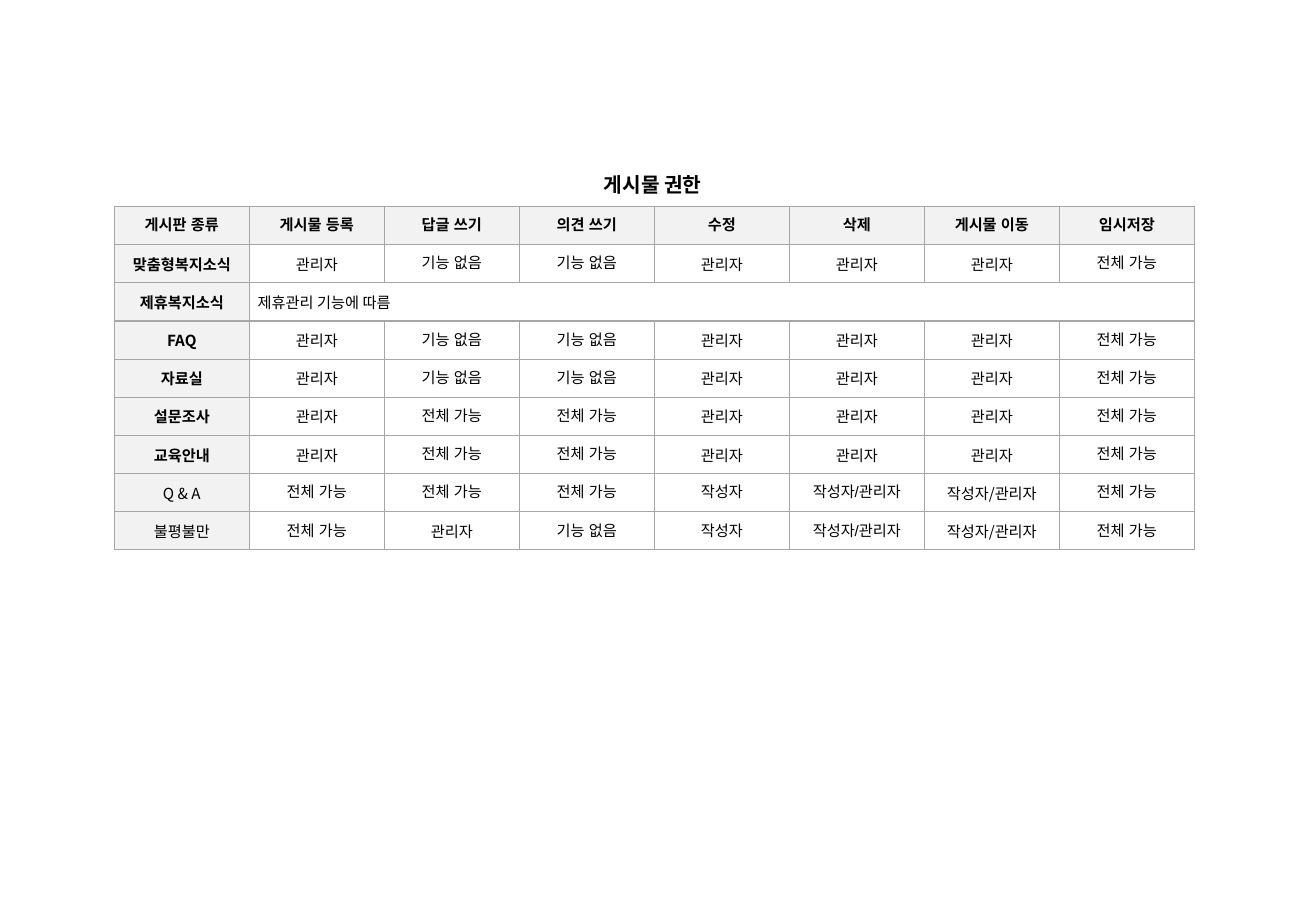
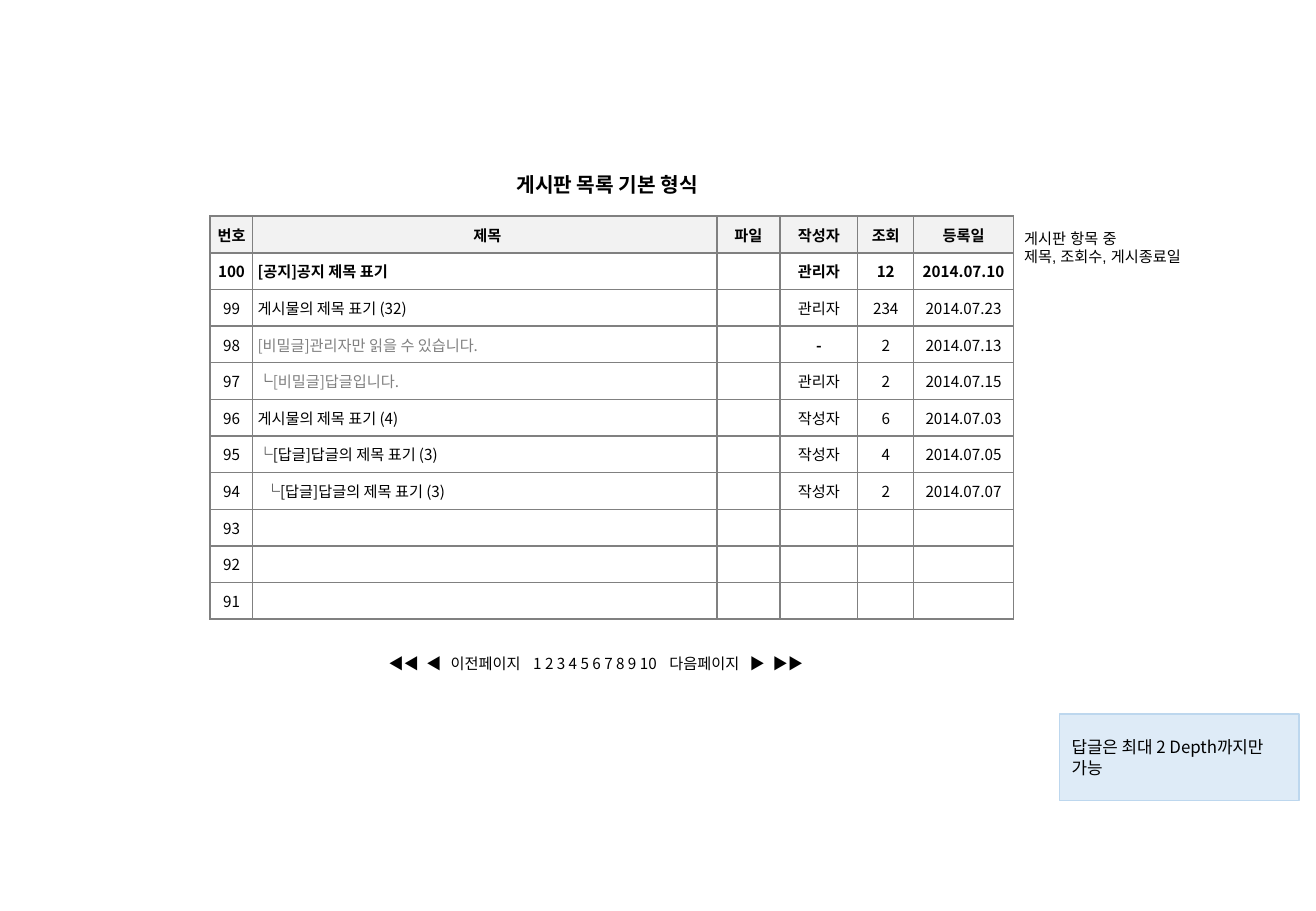
from lxml.etree import SubElement
from pptx import Presentation
from pptx.dml.color import RGBColor
from pptx.enum.shapes import MSO_SHAPE
from pptx.enum.text import MSO_ANCHOR, MSO_AUTO_SIZE, PP_ALIGN
from pptx.oxml.ns import qn
from pptx.util import Inches, Pt

SANS, KOREAN = "Arial", "Noto Sans CJK KR"
BLACK, GREY, PALE, WHITE = "000000", "808080", "F2F2F2", "FFFFFF"
LEFT, CENTER = PP_ALIGN.LEFT, PP_ALIGN.CENTER


def color(code):
    return RGBColor.from_string(code)


class Deck:
    """Shared style and the slide being built."""

    def __init__(self):
        self.file = Presentation()
        self.file.slide_width, self.file.slide_height = Inches(10.83), Inches(7.5)
        self.slide = None

    def style(self, para, size=9, face=KOREAN, bold=False, align=LEFT, space=1.0):
        para.alignment, para.line_spacing = align, space
        font = para.font
        font.size, font.name, font.bold = Pt(size), face, bold
        font.color.rgb = color(BLACK)
        props = para._p.pPr.find(qn("a:defRPr"))
        SubElement(props, qn("a:ea"), typeface=face)

    def put(self, frame, lines, **look):
        frame.word_wrap, frame.auto_size = True, MSO_AUTO_SIZE.NONE
        frame.text = "\n".join(lines)
        for para in frame.paragraphs:
            self.style(para, **look)

    def page(self, title, left, width):
        self.slide = self.file.slides.add_slide(self.file.slide_layouts[5])
        head = self.slide.shapes.title
        head.left, head.top = Inches(left), Inches(1.31)
        head.width, head.height = Inches(width), Inches(0.36)
        head.text_frame.vertical_anchor = MSO_ANCHOR.TOP
        self.put(head.text_frame, [title], size=12, bold=True, space=1.3)

    def text(self, box, lines, **look):
        shape = self.slide.shapes.add_textbox(*map(Inches, box))
        self.put(shape.text_frame, lines, **look)
        return shape.text_frame.paragraphs

    def note(self, box, line):
        shape = self.slide.shapes.add_shape(MSO_SHAPE.RECTANGLE, *map(Inches, box))
        shape.shadow.inherit = False
        shape.fill.solid()
        shape.fill.fore_color.rgb = color("DEEBF7")
        shape.line.color.rgb, shape.line.width = color("BDD7EE"), Pt(1)
        shape.text_frame.vertical_anchor = MSO_ANCHOR.MIDDLE
        self.put(shape.text_frame, [line], size=10)

    def table(self, left, top, widths, height, count):
        frame = self.slide.shapes.add_table(
            count, len(widths), Inches(left), Inches(top),
            Inches(sum(widths)), Inches(height))
        grid = frame.table
        grid.first_row = grid.horz_banding = False
        for col, width in zip(grid.columns, widths):
            col.width = Inches(width)
        for row in grid.rows:
            row.height = Inches(height / count)
        return grid

    def cell(self, cell, text, edge, fill=WHITE, pad=0.0, **look):
        """Text may be a pair: a black part and a grey part."""
        cell.margin_left = Inches(pad)
        cell.margin_right = cell.margin_top = cell.margin_bottom = 0
        cell.vertical_anchor = MSO_ANCHOR.MIDDLE
        para = cell.text_frame.paragraphs[0]
        parts = text if isinstance(text, tuple) else (text, "")
        for part, tint in zip(parts, (None, GREY)):
            if part:
                run = para.add_run()
                run.text = part
                if tint:
                    run.font.color.rgb = color(tint)
        self.style(para, **look)
        if not para.runs:
            SubElement(para._p, qn("a:endParaRPr"), sz="900")
        # Borders come before the fill
        code, width = edge
        props = cell._tc.get_or_add_tcPr()
        for side in ("lnL", "lnR", "lnT", "lnB"):
            line = SubElement(props, qn("a:" + side), w=str(Pt(width)))
            SubElement(SubElement(line, qn("a:solidFill")), qn("a:srgbClr"), val=code)
        cell.fill.solid()
        cell.fill.fore_color.rgb = color(fill)


def rights(deck):
    """Who may do what on each board."""
    deck.page("게시물 권한", 4.87, 1.1)
    boss, none, every = "관리자", "기능 없음", "전체 가능"
    own, both = "작성자", "작성자/관리자"
    fixed = [boss, none, none, boss, boss, boss, every]
    shared = [boss, every, every, boss, boss, boss, every]
    rows = [
        ["게시판 종류", "게시물 등록", "답글 쓰기", "의견 쓰기",
         "수정", "삭제", "게시물 이동", "임시저장"],
        ["맞춤형복지소식", *fixed],
        ["제휴복지소식", "제휴관리 기능에 따름", *[""] * 6],
        ["FAQ", *fixed],
        ["자료실", *fixed],
        ["설문조사", *shared],
        ["교육안내", *shared],
        ["Q & A", every, every, every, own, both, both, every],
        ["불평불만", every, boss, none, own, both, both, every],
    ]
    grid = deck.table(0.94, 1.7, [8.89 / 8] * 8, 2.83, len(rows))
    for r, row in enumerate(rows):
        for c, text in enumerate(row):
            label = r == 0 or c == 0
            wide = r == 2 and c > 0
            korean = r > 0 and (c in (0, 6) or text == boss or wide)
            deck.cell(grid.cell(r, c), text, ("A6A6A6", 0.75),
                      fill=PALE if label else WHITE,
                      pad=0.07 if wide else 0,
                      face=KOREAN if korean else SANS,
                      bold=label and r < 7,
                      align=LEFT if wide else CENTER)
    grid.cell(2, 1).merge(grid.cell(2, 7))


def board(deck):
    """Basic form of a board list."""
    deck.page("게시판 목록 기본 형식", 4.15, 1.9)
    rows = [
        ("번호", "제목", "작성자", "조회", "등록일"),
        ("100", "[공지]공지 제목 표기", "관리자", "12", "2014.07.10"),
        ("99", "게시물의 제목 표기 (32)", "관리자", "234", "2014.07.23"),
        ("98", ("", "[비밀글]관리자만 읽을 수 있습니다."), "-", "2", "2014.07.13"),
        ("97", ("└", "[비밀글]답글입니다."), "관리자", "2", "2014.07.15"),
        ("96", "게시물의 제목 표기 (4)", "작성자", "6", "2014.07.03"),
        ("95", "└[답글]답글의 제목 표기 (3)", "작성자", "4", "2014.07.05"),
        ("94", "└[답글]답글의 제목 표기 (3)", "작성자", "2", "2014.07.07"),
        *[(num, "", "", "", "") for num in ("93", "92", "91")],
    ]
    grid = deck.table(1.73, 1.78, [0.35, 3.82, 0.52, 0.64, 0.46, 0.82],
                      3.32, len(rows))
    for r, (num, title, *rest) in enumerate(rows):
        line = [num, title, "" if r else "파일", *rest]
        for c, text in enumerate(line):
            deep = num == "94"  # second reply level
            deck.cell(grid.cell(r, c), text, (GREY, 1),
                      fill=WHITE if r else PALE,
                      pad=(0.1 if deep else 0.04) if c == 1 else 0,
                      bold=r < 2 or text == "-",
                      align=LEFT if r and c == 1 else CENTER)

    # Pager, spaced by tab stops
    pager = ["◀◀", "◀", "이전페이지", "1 2 3 4 5 6 7 8 9 10",
             "다음페이지", "▶", "▶▶"]
    para = deck.text((3.1, 5.29, 4, 0.3), ["\t".join(pager)], space=1.3)[0]
    stops = SubElement(para._p.pPr, qn("a:tabLst"))
    para._p.pPr.find(qn("a:defRPr")).addprevious(stops)
    for stop in (0.31, 0.51, 1.19, 2.31, 2.97, 3.16):
        SubElement(stops, qn("a:tab"), pos=str(Inches(stop)), algn="l")

    # Side notes
    deck.text((8.33, 1.84, 1.8, 0.4),
              ["게시판 항목 중", "제목, 조회수, 게시종료일"], face=SANS)
    deck.note((8.72, 5.88, 1.97, 0.71), "답글은 최대 2 Depth까지만 가능")


def main():
    deck = Deck()
    rights(deck)
    board(deck)
    deck.file.save("out.pptx")


if __name__ == "__main__":
    main()
